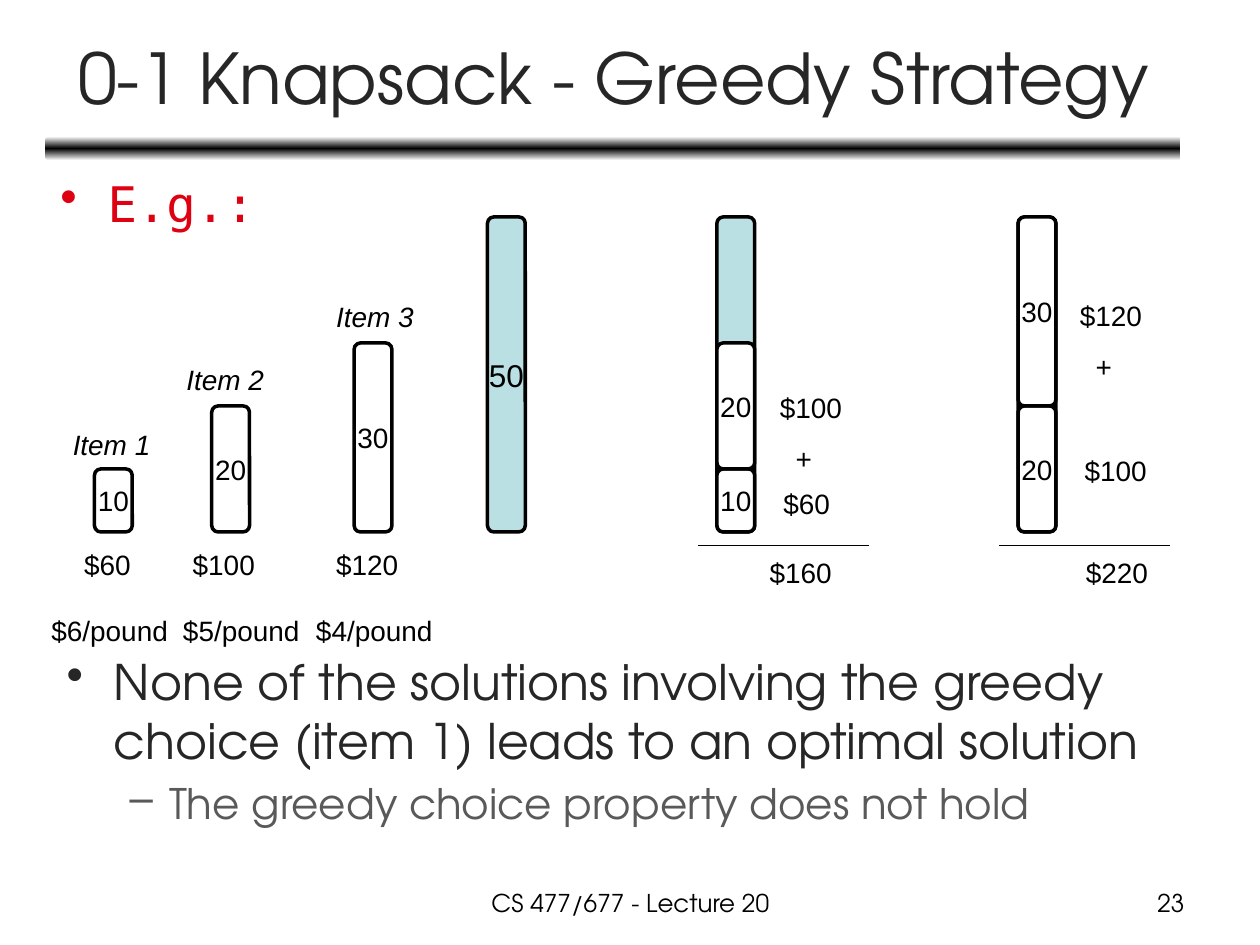
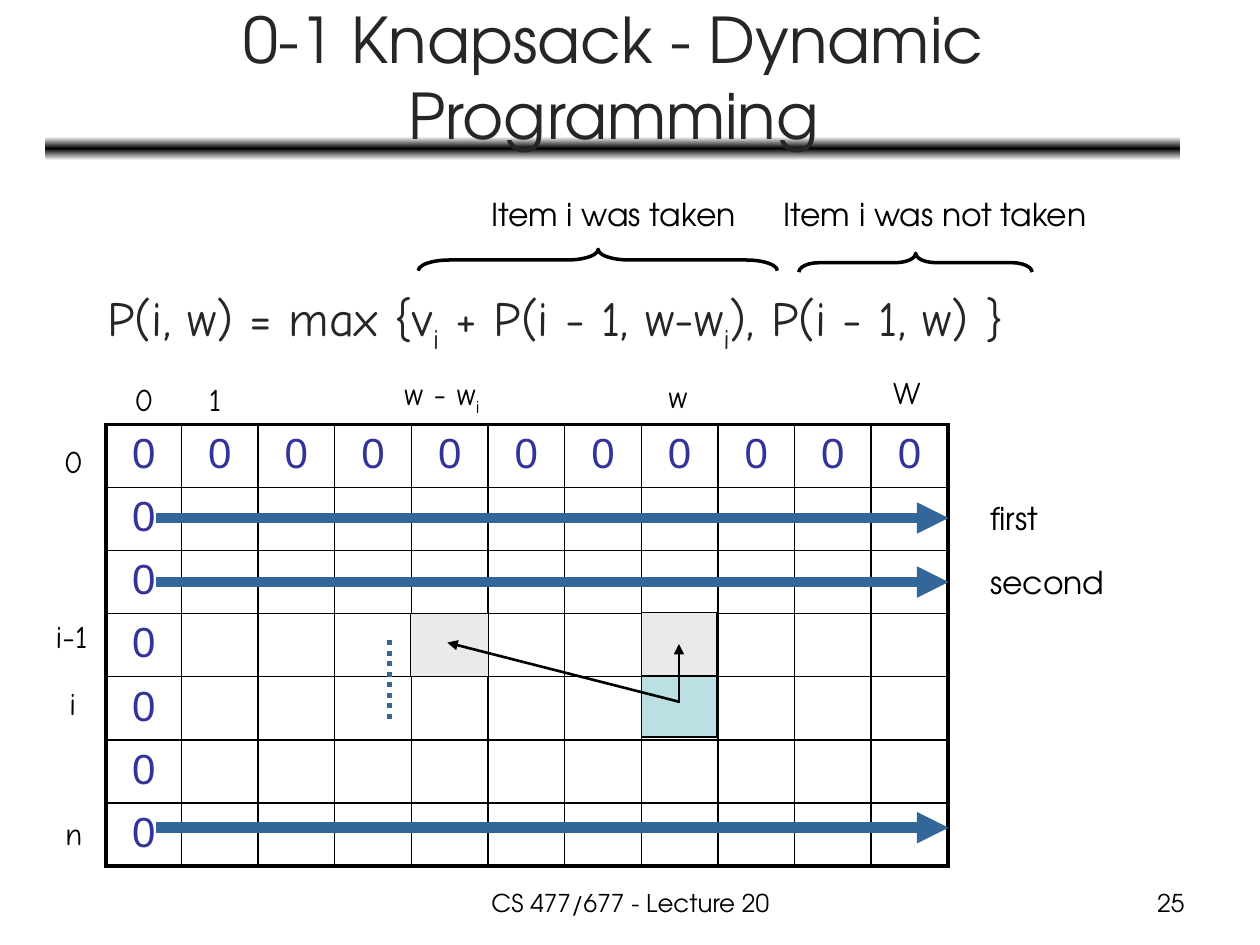
from copy import deepcopy
from pptx import Presentation
from pptx.dml.color import RGBColor
from pptx.enum.dml import MSO_LINE
from pptx.enum.shapes import MSO_CONNECTOR, MSO_SHAPE as SHAPE
from pptx.enum.text import MSO_ANCHOR as ANCHOR, MSO_AUTO_SIZE, PP_ALIGN as ALIGN
from pptx.oxml.ns import qn
from pptx.util import Pt
from lxml.etree import SubElement

# ---- Shared look ----
COLORS = {
    "black": "000000", "white": "FFFFFF", "title": "262626", "detail": "595959",
    "example": "DD0111", "knapsack": "BBE0E3", "previous": "EAEAEA",
    "zero": "333399", "sweep": "336699",
}
MAIN, PLAIN, FORMULA, MONO = "TeX Gyre Adventor", "Arial", "Comic Neue", "DejaVu Sans Mono"
FOOTER = "CS 477/677 - Lecture 20"

# ---- Greedy slide content ----
POUND = 3.6  # height of one pound
BAR_WIDTH, BAR_BASE, CAPACITY = 21.6, 304, 50
ITEMS = [  # bar left, weight, name, name left, value, value left, ratio, ratio left
    (54, 10, "Item 1", 34.5, "$60", 41, "$6/pound", 22.3),
    (121, 20, "Item 2", 99.4, "$100", 103, "$5/pound", 97.5),
    (202.4, 30, "Item 3", 185, "$120", 185, "$4/pound", 173.5),
]
EMPTY_KNAPSACK_LEFT = 278.6
KNAPSACKS = [  # bar left, weights from the bottom, total, total left
    (409.7, (10, 20), "$160", 432.7),
    (581.8, (20, 30), "$220", 613.4),
]
VALUES = [  # paragraphs, left, top
    (["$100", "+"], 438.5, 219.6), (["$60"], 440.6, 274.5),
    (["$120", "+"], 610, 167), (["$100"], 612.7, 255.6),
]
CONCLUSION = ("None of the solutions involving the greedy choice (item 1) "
              "leads to an optimal solution")
DETAIL = "The greedy choice property does not hold"

# ---- Dynamic programming slide content (bars enclose subscripts) ----
RECURRENCE = "P(i, w) = max {v|i| + P(i - 1, w-w|i|), P(i - 1, w) }"
TABLE_LEFT, TABLE_TOP, ROWS, COLUMNS = 60.5, 242.6, 7, 11
FIRST_COLUMN, COLUMN, ROW = 43.2, 43.8, 35
AXIS_LABELS = [  # text, left, top, width
    ("0", 69.8, 213.8, 25), ("1", 112.3, 213.8, 22), ("w - w|i|", 224, 210.2, 64),
    ("w", 375, 211.7, 28), ("W", 503.3, 209.5, 35),
    ("0", 29.5, 249, 25), ("i-1", 24.5, 349.2, 35), ("i", 32.4, 387.4, 19.5),
    ("n", 30.2, 461.5, 24),
]
SWEEPS = [(296, "first", 43), (332.6, "second", 81), (473, None, 0)]
BRACES = [  # label, label left, label width, brace box, adjustments
    ("Item i was taken", 273.6, 164, (335.5, 46, 12.2, 205.2), (1.467, 0.499)),
    ("Item i was not taken", 440.6, 198, (517.7, 83.5, 10.8, 133.2), (1.06, 0.499)),
]
CURRENT_CELL = (366.5, 385.2, 43.2, 36)
PREVIOUS_CELLS = [(366.5, 349.9, 43.2, 36), (234.7, 350.6, 44.6, 36)]
DEPENDENCIES = [((388, 402), (388, 368)), ((388, 401), (255.6, 367.2))]


# ---- Helpers ----
def rgb(name):
    return RGBColor.from_string(COLORS[name])


def write(paragraph, text, size, font, color, italic=False):
    """Fill a paragraph; every second part between bars is a subscript."""
    for index, part in enumerate(text.split("|")):
        if not part:
            continue
        run = paragraph.add_run()
        run.text = part
        run.font.size, run.font.name, run.font.italic = Pt(size), font, italic
        run.font.color.rgb = rgb(color)
        if index % 2:
            run.font._element.set("baseline", "-25000")


def add_text(slide, box, text="", size=16, font=PLAIN, color="black",
             italic=False, wrap=False, align=ALIGN.LEFT):
    frame = slide.shapes.add_textbox(*map(Pt, box)).text_frame
    frame.word_wrap = wrap
    frame.paragraphs[0].alignment = align
    write(frame.paragraphs[0], text, size, font, color, italic)
    return frame


def set_indent(paragraph, left, hanging=0, bullet=None):
    properties = paragraph._p.get_or_add_pPr()
    properties.set("marL", str(Pt(left)))
    properties.set("indent", str(-Pt(hanging)))
    if bullet:
        SubElement(properties, qn("a:buChar")).set("char", bullet)


def add_box(slide, kind, box, fill=None, line=2.0):
    shape = slide.shapes.add_shape(kind, *map(Pt, box))
    shape.shadow.inherit = False
    if fill:
        shape.fill.solid()
        shape.fill.fore_color.rgb = rgb(fill)
    else:
        shape.fill.background()
    shape.line.color.rgb = rgb("black")
    shape.line.width = Pt(line)
    return shape


def add_line(slide, start, end, width, color="black", arrow=False, dash=None):
    line = slide.shapes.add_connector(MSO_CONNECTOR.STRAIGHT, *map(Pt, (*start, *end)))
    line.line.color.rgb = rgb(color)
    line.line.width = Pt(width)
    if dash:
        line.line.dash_style = dash
    if arrow:
        SubElement(line.line._get_or_add_ln(), qn("a:tailEnd")).set("type", "triangle")
    SubElement(line._element.spPr, qn("a:effectLst"))


def add_slide(presentation, title_text, title_size, number):
    slide = presentation.slides.add_slide(presentation.slide_layouts[5])
    # Title
    title = slide.shapes.title
    title.left, title.top, title.width, title.height = map(Pt, (26.6, 8, 648, 71.3))
    frame = title.text_frame
    frame.word_wrap, frame.auto_size = True, MSO_AUTO_SIZE.NONE
    frame.vertical_anchor = ANCHOR.MIDDLE
    frame.paragraphs[0].alignment = ALIGN.CENTER
    write(frame.paragraphs[0], title_text, title_size, MAIN, "title")
    # Gradient band behind the title
    band = add_box(slide, SHAPE.ROUNDED_RECTANGLE, (26, 78, 648.7, 13.7))
    band.line.fill.background()
    band.fill.gradient()
    band.fill.gradient_angle = 90
    stops = band._element.spPr.find(".//" + qn("a:gsLst"))
    stops.append(deepcopy(stops[0]))
    shades = [(0, "white"), (0.5, "black"), (1, "white")]
    for stop, (position, color) in zip(band.fill.gradient_stops, shades):
        stop.position, stop.color.rgb = position, rgb(color)
    slide.shapes._spTree.insert(2, band._element)
    # Footer and slide number
    add_text(slide, (246.2, 504, 228.2, 25), FOOTER, 14, MAIN, wrap=True, align=ALIGN.CENTER)
    add_text(slide, (516.2, 504, 167.8, 25), str(number), 14, MAIN, wrap=True, align=ALIGN.RIGHT)
    return slide


def add_bar(slide, left, weight, below=0, fill="white", size=16, labelled=True):
    top = BAR_BASE - (below + weight) * POUND
    bar = add_box(slide, SHAPE.ROUNDED_RECTANGLE, (left, top, BAR_WIDTH, weight * POUND), fill)
    if labelled:
        frame = bar.text_frame
        frame.word_wrap, frame.vertical_anchor = False, ANCHOR.MIDDLE
        frame.paragraphs[0].alignment = ALIGN.CENTER
        write(frame.paragraphs[0], str(weight), size, PLAIN, "black")


def add_border(cell_properties, side, width):
    line = SubElement(cell_properties, qn("a:" + side))
    line.set("w", str(Pt(width)))
    SubElement(SubElement(line, qn("a:solidFill")), qn("a:srgbClr")).set("val", COLORS["black"])


def add_grid(slide):
    table = slide.shapes.add_table(
        ROWS, COLUMNS, Pt(TABLE_LEFT), Pt(TABLE_TOP),
        Pt(FIRST_COLUMN + (COLUMNS - 1) * COLUMN), Pt(ROWS * ROW)).table
    table.first_row = table.horz_banding = False
    for index, column in enumerate(table.columns):
        column.width = Pt(COLUMN if index else FIRST_COLUMN)
    for r, row in enumerate(table.rows):
        row.height = Pt(ROW)
        for c, cell in enumerate(row.cells):
            outer = {"lnL": c == 0, "lnR": c == COLUMNS - 1,
                     "lnT": r == 0, "lnB": r == ROWS - 1}
            for side, is_outer in outer.items():
                add_border(cell._tc.get_or_add_tcPr(), side, 2.25 if is_outer else 1)
            cell.fill.background()
            if r == 0 or c == 0:
                paragraph = cell.text_frame.paragraphs[0]
                paragraph.alignment = ALIGN.CENTER
                write(paragraph, "0", 24, PLAIN, "zero")


def build_greedy(presentation):
    slide = add_slide(presentation, "0-1 Knapsack - Greedy Strategy", 40, 23)
    example = add_text(slide, (27.4, 95.8, 648, 85), "E.g.:", 28, MONO, "example", wrap=True)
    set_indent(example.paragraphs[0], 27, 27, "•")
    # Items and the empty knapsack
    for left, weight, name, name_left, value, value_left, ratio, ratio_left in ITEMS:
        add_bar(slide, left, weight)
        name_top = BAR_BASE - weight * POUND - 28.5 + (1.5 if weight == 10 else 0)
        add_text(slide, (name_left, name_top, 59, 26.6), name, italic=True)
        add_text(slide, (value_left, 309.6, 41 if len(value) == 3 else 49.7, 26.6), value)
        add_text(slide, (ratio_left, 347, 81.4, 26.6), ratio)
    add_bar(slide, EMPTY_KNAPSACK_LEFT, CAPACITY, fill="knapsack", size=18)
    # Filled knapsacks with their totals
    for left, weights, total, total_left in KNAPSACKS:
        add_bar(slide, left, CAPACITY, fill="knapsack", labelled=False)
        for index, weight in enumerate(weights):
            add_bar(slide, left, weight, below=sum(weights[:index]))
        add_line(slide, (left - 10.8, 311.8), (left + 87, 311.8), 0.75)
        add_text(slide, (total_left, 314, 49.7, 26.6), total)
    for (value, *signs), left, top in VALUES:
        width = 41 if len(value) == 3 else 49.7
        frame = add_text(slide, (left, top, width, 55.4 if signs else 26.6), value)
        for sign in signs:
            paragraph = frame.add_paragraph()
            paragraph.space_before = Pt(10)
            set_indent(paragraph, 9)
            write(paragraph, sign, 16, PLAIN, "black")
    # Conclusion
    frame = add_text(slide, (31, 368.6, 648, 147.6), CONCLUSION, 28, MAIN, "title", wrap=True)
    set_indent(frame.paragraphs[0], 27, 27, "•")
    detail = frame.add_paragraph()
    detail.level, detail.space_before = 1, Pt(4.8)
    set_indent(detail, 58.5, 22.5, "–")
    write(detail, DETAIL, 24, MAIN, "detail")


def build_dynamic(presentation):
    slide = add_slide(presentation, "0-1 Knapsack - Dynamic Programming", 36, 25)
    # Grid over the current cell
    add_box(slide, SHAPE.RECTANGLE, CURRENT_CELL, "knapsack", 0.75)
    add_grid(slide)
    for text, left, top, width in AXIS_LABELS:
        add_text(slide, (left, top, width, 29), text, 18, FORMULA)
    # Recurrence with braces
    formula = add_text(slide, (27.4, 161, 648, 57), RECURRENCE, 28, FORMULA, "title", wrap=True)
    set_indent(formula.paragraphs[0], 27)
    for label, left, width, box, adjustments in BRACES:
        add_text(slide, (left, 108, width, 29), label, 18, MAIN, wrap=True)
        brace = add_box(slide, SHAPE.LEFT_BRACE, box)
        brace.rotation = 90
        for index, value in enumerate(adjustments):
            brace.adjustments[index] = value
    # Cells that the current one depends on
    for box in PREVIOUS_CELLS:
        add_box(slide, SHAPE.RECTANGLE, box, "previous", 0.75)
    for start, end in DEPENDENCIES:
        add_line(slide, start, end, 1.5, arrow=True)
    # Row by row order
    for y, label, width in SWEEPS:
        add_line(slide, (89.3, y), (542, y), 6, "sweep", arrow=True)
        if label:
            add_text(slide, (558.7, y - 14.5, width, 29), label, 18, MAIN)
    add_line(slide, (222.5, 365.8), (222.5, 413.3), 3, "sweep", dash=MSO_LINE.ROUND_DOT)


presentation = Presentation()
presentation.slide_width, presentation.slide_height = Pt(720), Pt(540)
build_greedy(presentation)
build_dynamic(presentation)
presentation.save("out.pptx")
